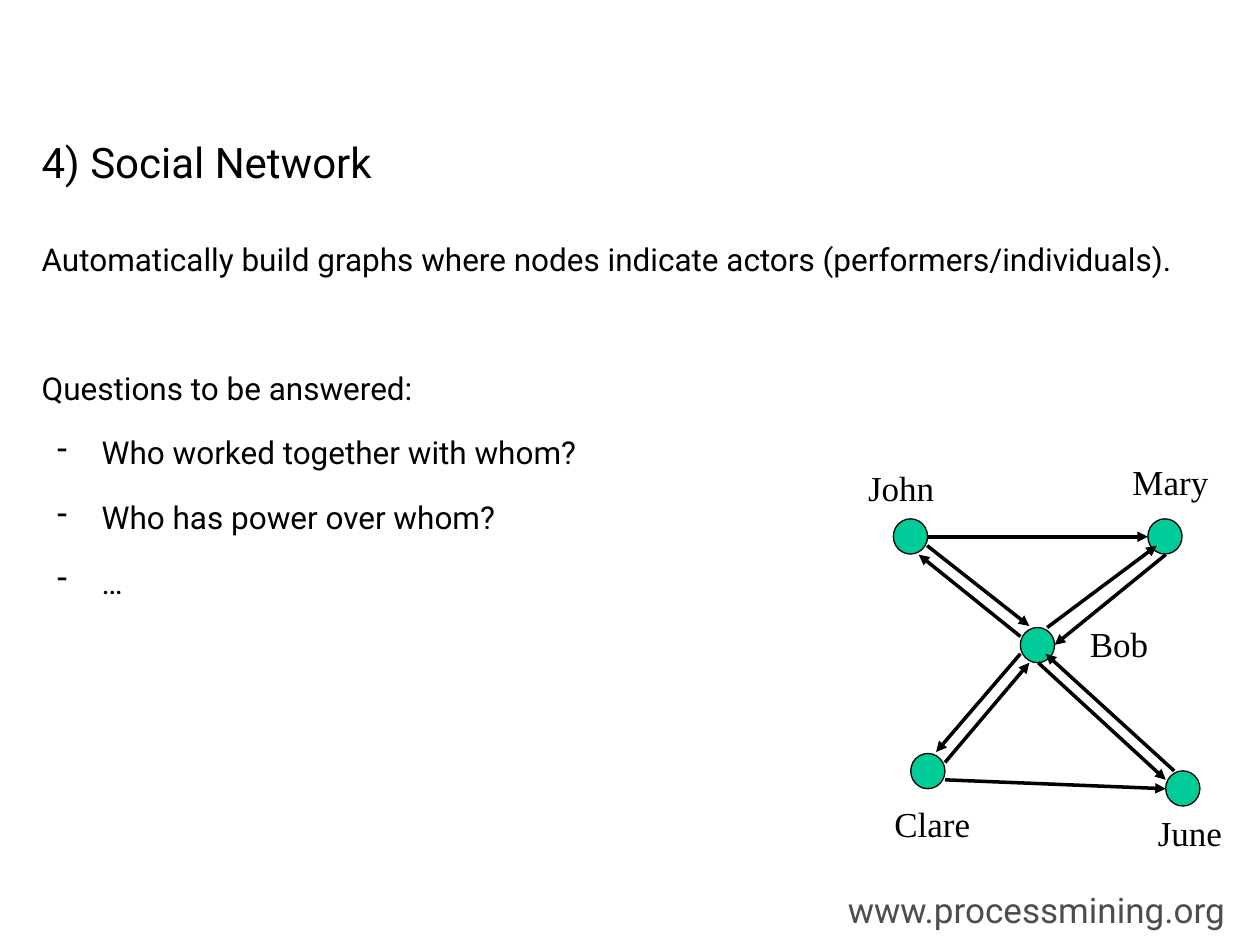
"""Builds a slide on social networks with a directed graph of five actors."""
from dataclasses import dataclass

from lxml import etree
from pptx import Presentation
from pptx import util as u
from pptx.dml.color import RGBColor
from pptx.enum import shapes, text
from pptx.oxml.ns import qn


@dataclass(frozen=True)
class Theme:
    """Holds the colours, fonts and sizes of the slide."""
    ink: RGBColor = RGBColor(0, 0, 0)
    node: RGBColor = RGBColor(0x00, 0xCC, 0x99)
    footer: RGBColor = RGBColor(0x4D, 0x4D, 0x4D)
    sans: str = "Roboto"
    serif: str = "Times New Roman"
    title_size: int = 24
    body_size: int = 18
    label_size: int = 20
    outline: float = 0.75
    arrow: float = 2


THEME = Theme()
NODE_SIZE = (0.69, 0.71)
NODES = [(18.01, 10.46), (23.14, 10.46), (18.36, 15.19), (23.5, 15.54), (20.57, 12.65)]
ARROWS = [
    (18.69, 10.82, 23.14, 10.82),
    (18.69, 11, 20.75, 12.62),
    (21.11, 12.65, 23.32, 11),
    (23.5, 11.18, 21.26, 13),
    (20.57, 12.83, 18.52, 11.18),
    (23.67, 15.54, 21.08, 13.18),
    (20.93, 13.36, 23.5, 15.72),
    (20.57, 13.18, 18.87, 15.16),
    (19.05, 15.37, 20.75, 13.36),
    (19.05, 15.72, 23.5, 15.9),
]
LABELS = [
    ("John", 17.3, 9.3, 1.75),
    ("Mary", 22.63, 9.19, 1.96),
    ("Bob", 21.77, 12.45, 1.6),
    ("Clare", 17.83, 16.08, 1.96),
    ("June", 23.14, 16.26, 1.73),
]
BODY = [
    ("Automatically build graphs where nodes indicate actors (performers/individuals).", 0, False),
    ("Questions to be answered:", 41.4, False),
    ("Who worked together with whom?", 4.5, True),
    ("Who has power over whom?", 4.5, True),
    ("…", 4.5, True),
]


def lengths(*values):
    """Turns centimetre numbers into lengths."""
    return [u.Cm(value) for value in values]


def add_run(paragraph, words, size, font, colour):
    """Adds one formatted run to a paragraph."""
    run = paragraph.add_run()
    run.text = words
    run.font.size = u.Pt(size)
    run.font.name = font
    run.font.color.rgb = colour


def set_margins(frame, horizontal, vertical):
    """Sets the inner margins of a text frame."""
    frame.margin_left = frame.margin_right = u.Cm(horizontal)
    frame.margin_top = frame.margin_bottom = u.Cm(vertical)


def set_title(slide, words):
    """Places and fills the title placeholder."""
    title = slide.shapes.title
    title.left, title.top, title.width, title.height = lengths(0.84, 2.74, 23.7, 1.02)
    frame = title.text_frame
    set_margins(frame, 0, 0)
    frame.vertical_anchor = text.MSO_ANCHOR.MIDDLE
    frame.auto_size = text.MSO_AUTO_SIZE.NONE
    paragraph = frame.paragraphs[0]
    paragraph.alignment = text.PP_ALIGN.LEFT
    add_run(paragraph, words, THEME.title_size, THEME.sans, THEME.ink)


def add_dash(paragraph):
    """Gives a paragraph a hanging dash bullet."""
    properties = paragraph._p.get_or_add_pPr()
    properties.set("marL", str(u.Cm(1.21)))
    properties.set("indent", str(-u.Cm(0.9)))
    etree.SubElement(properties, qn("a:buChar")).set("char", "-")


def add_body(slide):
    """Adds the explanation and the list of questions."""
    frame = slide.shapes.add_textbox(*lengths(0.84, 4.45, 23.7, 12.27)).text_frame
    frame.word_wrap = True
    set_margins(frame, 0, 0)
    for index, (words, space, dashed) in enumerate(BODY):
        paragraph = frame.add_paragraph() if index else frame.paragraphs[0]
        if dashed:
            add_dash(paragraph)
        paragraph.line_spacing = 1.5
        paragraph.space_before = u.Pt(space)
        add_run(paragraph, words, THEME.body_size, THEME.sans, THEME.ink)


def add_label(parent, words, box, font, colour, margins, alignment):
    """Adds a one-line text that does not wrap."""
    frame = parent.shapes.add_textbox(*lengths(*box)).text_frame
    frame.word_wrap = False
    frame.auto_size = text.MSO_AUTO_SIZE.SHAPE_TO_FIT_TEXT
    set_margins(frame, *margins)
    paragraph = frame.paragraphs[0]
    paragraph.alignment = alignment
    add_run(paragraph, words, THEME.label_size, font, colour)


def add_node(group, left, top):
    """Adds the circle of one actor."""
    node = group.shapes.add_shape(shapes.MSO_SHAPE.OVAL, *lengths(left, top, *NODE_SIZE))
    node.shadow.inherit = False
    node.fill.solid()
    node.fill.fore_color.rgb = THEME.node
    node.line.color.rgb = THEME.ink
    node.line.width = u.Pt(THEME.outline)


def add_arrow(group, ends):
    """Adds a straight arrow between two points."""
    arrow = group.shapes.add_connector(shapes.MSO_CONNECTOR.STRAIGHT, *lengths(*ends))
    arrow.line.color.rgb = THEME.ink
    arrow.line.width = u.Pt(THEME.arrow)
    etree.SubElement(arrow.line._get_or_add_ln(), qn("a:tailEnd")).set("type", "triangle")
    etree.SubElement(arrow._element.spPr, qn("a:effectLst"))


def add_network(slide):
    """Adds the grouped graph of actors."""
    group = slide.shapes.add_group_shape()
    for left, top in NODES:
        add_node(group, left, top)
    for ends in ARROWS:
        add_arrow(group, ends)
    for words, left, top, width in LABELS:
        add_label(group, words, (left, top, width, 1.07), THEME.serif, THEME.ink,
                  (0.2, 0.1), text.PP_ALIGN.LEFT)


def main():
    """Builds and saves the presentation."""
    presentation = Presentation()
    presentation.slide_width, presentation.slide_height = lengths(25.4, 19.05)
    slide = presentation.slides.add_slide(presentation.slide_layouts.get_by_name("Title Only"))
    add_label(slide, "www.processmining.org", (16.59, 17.78, 8.61, 1.12), THEME.sans,
              THEME.footer, (0.25, 0.13), text.PP_ALIGN.CENTER)
    set_title(slide, "4) Social Network")
    add_body(slide)
    add_network(slide)
    presentation.save("out.pptx")


if __name__ == "__main__":
    main()
